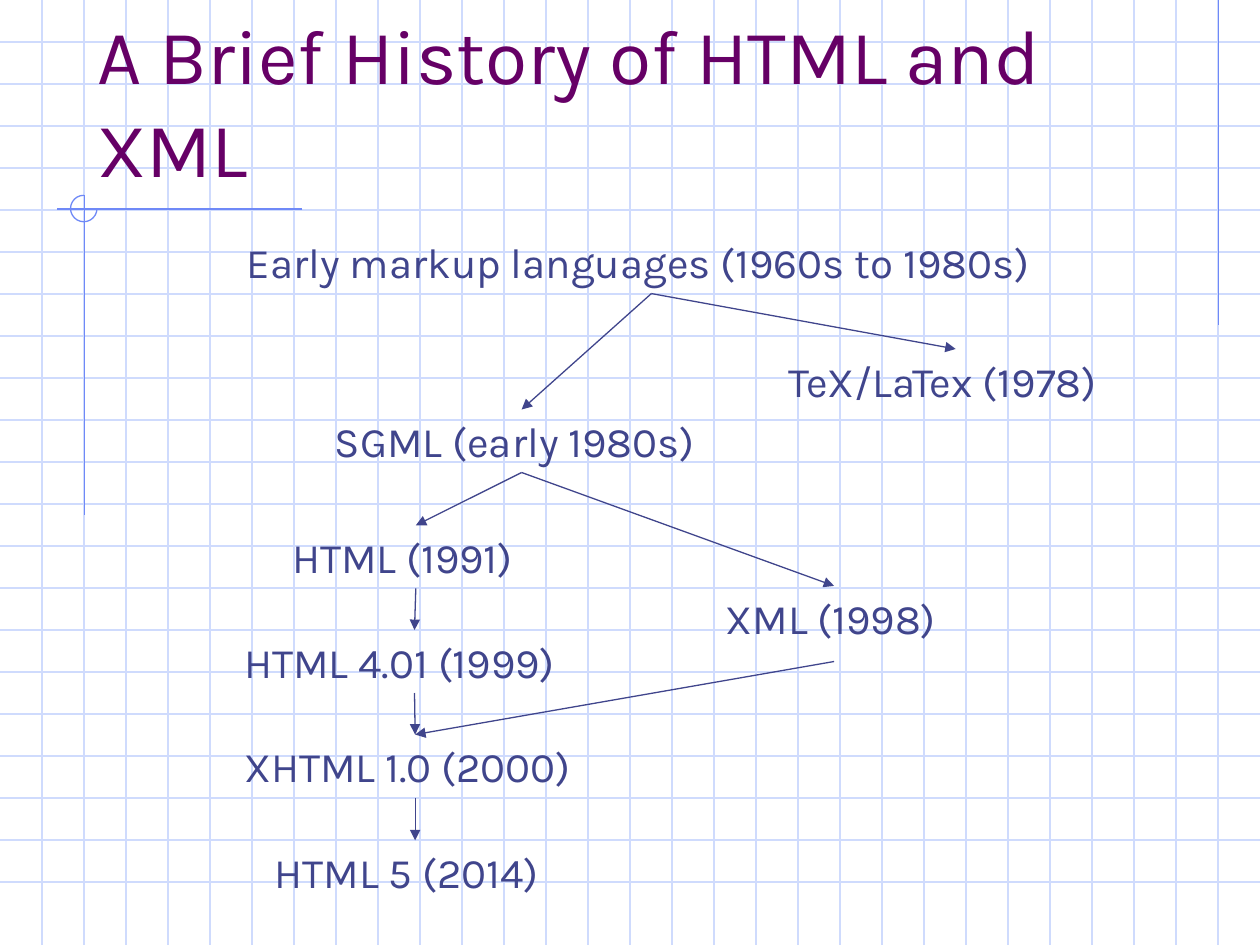
from dataclasses import dataclass

from lxml import etree
from pptx import Presentation
from pptx.dml.color import RGBColor
from pptx.enum import shapes, text
from pptx.oxml import ns
from pptx.util import Inches, Pt


@dataclass(frozen=True)
class Theme:
    font: str = "Karla"
    title_size: int = 44
    label_size: int = 24
    title: str = "660066"
    ink: str = "40458C"
    grid: str = "CFDBFD"
    accent: str = "6F89F7"
    line_width: float = 0.75


THEME = Theme()
WIDTH, HEIGHT = 10, 7.5
GRID_STEP = 1 / 3
LABEL_HEIGHT = 0.5

# key: (text, left, top, width)
LABELS = {
    "early": ("Early markup languages (1960s to 1980s)", 1.86, 1.83, 6.62),
    "tex": ("TeX/LaTex (1978)", 6.16, 2.77, 2.85),
    "sgml": ("SGML (early 1980s)", 2.56, 3.25, 3.16),
    "html": ("HTML (1991)", 2.22, 4.17, 2.16),
    "xml": ("XML (1998)", 5.66, 4.65, 1.92),
    "html4": ("HTML 4.01 (1999)", 1.84, 5, 2.9),
    "xhtml": ("XHTML 1.0 (2000)", 1.84, 5.83, 2.91),
    "html5": ("HTML 5 (2014)", 2.08, 6.67, 2.43),
}

# ancestor, descendant, gap below the ancestor
DESCENT = [
    ("early", "sgml", 0),
    ("early", "tex", 0),
    ("sgml", "html", 0),
    ("sgml", "xml", 0),
    ("html", "html4", 0),
    ("html4", "xhtml", 0),
    ("xhtml", "html5", 0),
    ("xml", "xhtml", 0.1),
]


def add_line(parent, start, end, color, arrow=False):
    points = [Inches(value) for value in (*start, *end)]
    line = parent.shapes.add_connector(shapes.MSO_CONNECTOR.STRAIGHT, *points)
    line.line.color.rgb = RGBColor.from_string(color)
    line.line.width = Pt(THEME.line_width)
    if arrow:
        outline = line.line._get_or_add_ln()
        etree.SubElement(outline, ns.qn("a:tailEnd"), type="triangle")
    etree.SubElement(line._element.spPr, ns.qn("a:effectLst"))


def write_text(frame, content, *, size, color):
    para = frame.paragraphs[0]
    para.alignment = text.PP_ALIGN.LEFT
    span = para.add_run()
    span.text = content
    span.font.name = THEME.font
    span.font.size = Pt(size)
    span.font.color.rgb = RGBColor.from_string(color)


def add_backdrop(page):
    """Draw the squared paper and its margin lines as one group."""
    group = page.shapes.add_group_shape()
    for row in range(1, round(HEIGHT / GRID_STEP)):
        y = row * GRID_STEP
        add_line(group, (0, y), (WIDTH, y), THEME.grid)
    for column in range(1, round(WIDTH / GRID_STEP)):
        x = column * GRID_STEP
        add_line(group, (x, 0), (x, HEIGHT), THEME.grid)
    add_line(group, (9.67, 0), (9.67, 2.58), THEME.accent)
    add_line(group, (2.4, 1.66), (0.45, 1.66), THEME.accent)
    add_line(group, (0.67, 1.55), (0.67, 4.09), THEME.accent)
    add_corner_arc(group)


def add_corner_arc(group):
    arc = group.shapes.add_shape(
        shapes.MSO_SHAPE.ARC, Inches(0.56), Inches(1.55), Inches(0.21), Inches(0.21)
    )
    arc.adjustments[0] = 0
    arc.adjustments[1] = 162  # 270 degrees
    arc.shadow.inherit = False
    arc.fill.background()
    arc.line.color.rgb = RGBColor.from_string(THEME.accent)
    arc.line.width = Pt(THEME.line_width)


def format_title(page, content):
    title = page.shapes.title
    title.left, title.top = Inches(0.67), Inches(0.33)
    title.width, title.height = Inches(8.5), Inches(1.25)
    frame = title.text_frame
    frame.word_wrap = True
    frame.auto_size = text.MSO_AUTO_SIZE.NONE
    frame.vertical_anchor = text.MSO_ANCHOR.BOTTOM
    write_text(frame, content, size=THEME.title_size, color=THEME.title)
    # Bring the title in front of the backdrop.
    title._element.getparent().append(title._element)


def add_label(page, content, left, top, width):
    box = page.shapes.add_textbox(
        Inches(left), Inches(top), Inches(width), Inches(LABEL_HEIGHT)
    )
    box.text_frame.word_wrap = True
    write_text(box.text_frame, content, size=THEME.label_size, color=THEME.ink)


def add_descent(page, ancestor, descendant, gap):
    """Point an arrow from under one label to the top of another."""
    _, left, top, width = LABELS[ancestor]
    start = (left + width / 2, top + LABEL_HEIGHT + gap)
    _, left, top, width = LABELS[descendant]
    add_line(page, start, (left + width / 2, top), THEME.ink, arrow=True)


def main():
    deck = Presentation()
    deck.slide_width, deck.slide_height = Inches(WIDTH), Inches(HEIGHT)
    page = deck.slides.add_slide(deck.slide_layouts.get_by_name("Title Only"))
    add_backdrop(page)
    format_title(page, "A Brief History of HTML and XML")
    for label in LABELS.values():
        add_label(page, *label)
    for link in DESCENT:
        add_descent(page, *link)
    deck.save("out.pptx")


if __name__ == "__main__":
    main()
